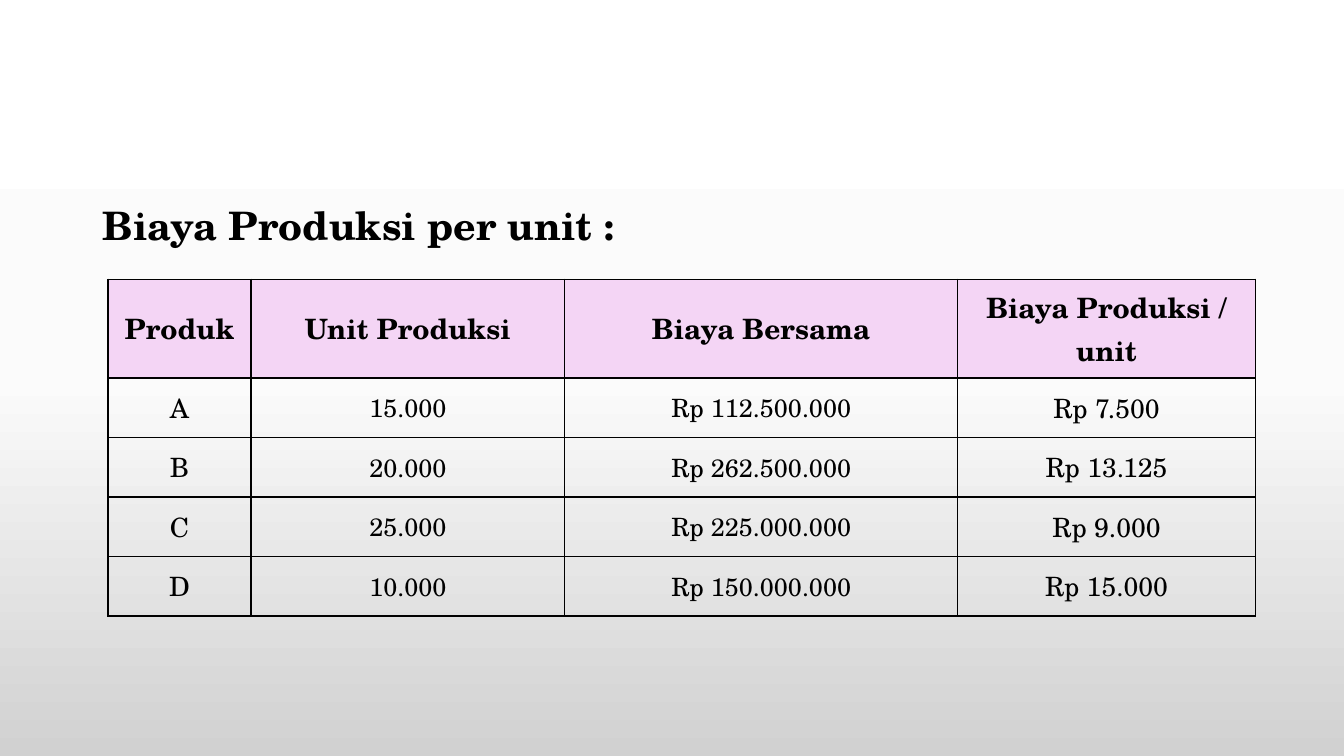
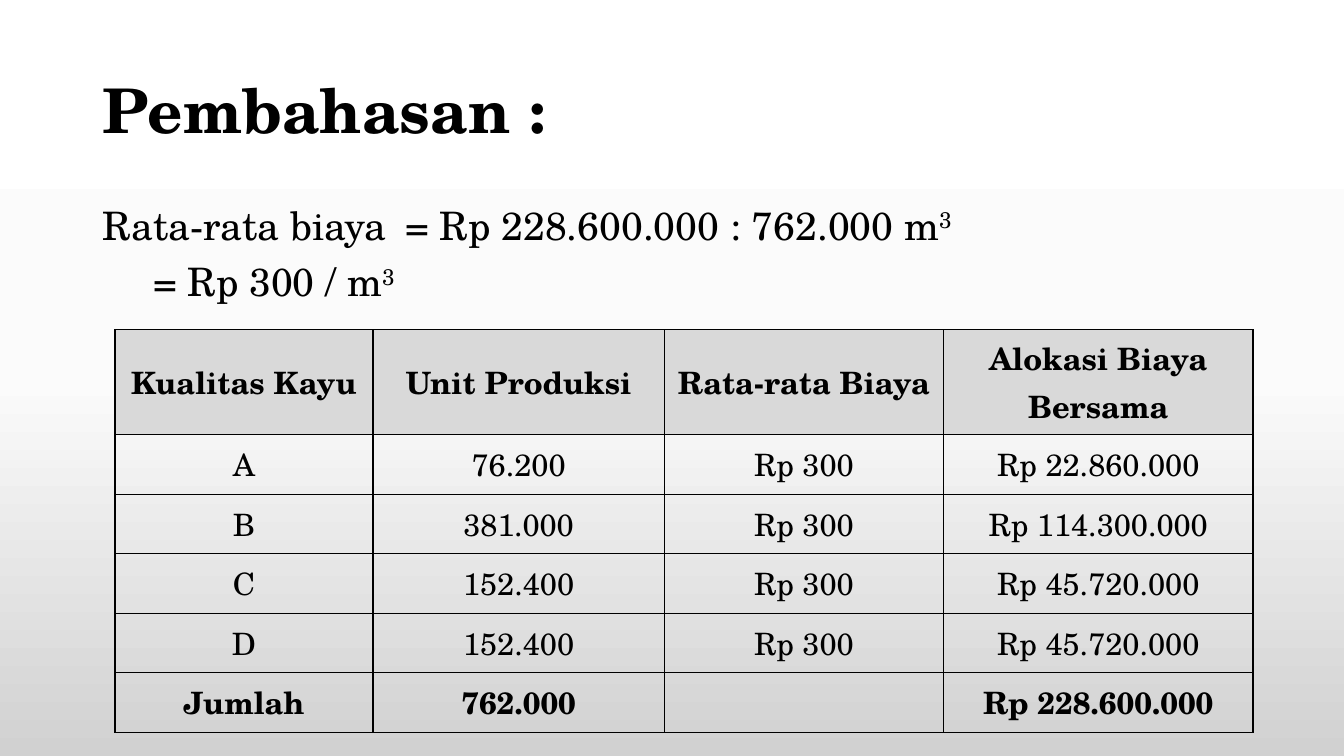
import copy

import pptx
import pptx.dml.color
import pptx.enum.text
import pptx.oxml
import pptx.oxml.ns
import pptx.util

RGBColor = pptx.dml.color.RGBColor
BLACK = RGBColor(0x00, 0x00, 0x00)
PINK = RGBColor(0xF4, 0xD5, 0xF5)
GRAY = RGBColor(0xD9, 0xD9, 0xD9)
BACKDROP = [
    (0, RGBColor(0xFF, 0xFF, 0xFF)),
    (0.5, RGBColor(0xFB, 0xFB, 0xFB)),
    (1, RGBColor(0xD1, 0xD1, 0xD1)),
]
FONT = "TeX Gyre Schola"
WIDTH = pptx.util.Inches(13.33)
HEIGHT = pptx.util.Inches(7.5)
TITLE_AREA = (6.9, 5.33, 86.27, 19.33)
BODY_AREA = (6.9, 26.67, 86.27, 63.47)
ROW_HEIGHT = 7.87
EQUALS_TAB = pptx.util.Inches(3)
BORDER = (
    '<a:{side} xmlns:a="http://schemas.openxmlformats.org/drawingml/2006/main" w="12700">'
    '<a:solidFill><a:srgbClr val="{color}"/></a:solidFill></a:{side}>'
)


def across(percent):
    return round(WIDTH * percent / 100)


def down(percent):
    return round(HEIGHT * percent / 100)


def place(shape, area):
    left, top, width, height = area
    shape.left, shape.top = across(left), down(top)
    shape.width, shape.height = across(width), down(height)


def format_font(paragraph, size, bold=False):
    font = paragraph.font
    font.name = FONT
    font.size = pptx.util.Pt(size)
    font.bold = bold
    font.color.rgb = BLACK


def paint_background(master):
    fill = master.background.fill
    fill.gradient()
    fill.gradient_angle = 270
    first_stop = next(master.background.fill._xPr.iter(pptx.oxml.ns.qn("a:gs")))
    first_stop.addnext(copy.deepcopy(first_stop))
    for stop, (position, color) in zip(fill.gradient_stops, BACKDROP):
        stop.position = position
        stop.color.rgb = color


def add_slide(presentation, title=None):
    slide = presentation.slides.add_slide(presentation.slide_layouts[1])
    shape = slide.shapes.title
    if title is None:
        shape.element.getparent().remove(shape.element)
        return slide
    place(shape, TITLE_AREA)
    shape.text_frame.vertical_anchor = pptx.enum.text.MSO_ANCHOR.MIDDLE
    paragraph = shape.text_frame.paragraphs[0]
    paragraph.text = title
    paragraph.alignment = pptx.enum.text.PP_ALIGN.LEFT
    paragraph.line_spacing = 0.9
    format_font(paragraph, 44, True)
    return slide


def remove_bullet(paragraph):
    properties = paragraph._p.get_or_add_pPr()
    properties.set("marL", "0")
    properties.set("indent", "0")
    pptx.oxml.ns.qn("a:buNone")
    properties.append(properties.makeelement(pptx.oxml.ns.qn("a:buNone")))
    tabs = properties.makeelement(pptx.oxml.ns.qn("a:tabLst"))
    tab = tabs.makeelement(pptx.oxml.ns.qn("a:tab"), {"pos": str(EQUALS_TAB), "algn": "l"})
    tabs.append(tab)
    properties.append(tabs)


def fill_body(slide, lines, bold=False):
    shape = slide.placeholders[1]
    place(shape, BODY_AREA)
    frame = shape.text_frame
    for index, (text, exponent) in enumerate(lines):
        paragraph = frame.add_paragraph() if index else frame.paragraphs[0]
        remove_bullet(paragraph)
        paragraph.line_spacing = 0.9
        paragraph.space_before = pptx.util.Pt(10 if index else 0)
        format_font(paragraph, 28, bold)
        paragraph.add_run().text = text
        if exponent:
            run = paragraph.add_run()
            run.text = exponent
            run._r.get_or_add_rPr().set("baseline", "30000")


def format_cell(cell, text, size, bold, color):
    cell.vertical_anchor = pptx.enum.text.MSO_ANCHOR.MIDDLE
    if color is None:
        cell.fill.background()
    else:
        cell.fill.solid()
        cell.fill.fore_color.rgb = color
    properties = cell._tc.get_or_add_tcPr()
    for index, side in enumerate(("lnL", "lnR", "lnT", "lnB")):
        properties.insert(index, pptx.oxml.parse_xml(BORDER.format(side=side, color=BLACK)))
    paragraph = cell.text_frame.paragraphs[0]
    paragraph.text = text
    paragraph.alignment = pptx.enum.text.PP_ALIGN.CENTER
    format_font(paragraph, size, bold)


def add_cost_table(slide, corner, columns, header_height, rows, header_size, sizes, color, bold_rows):
    left, top = corner
    heights = [header_height] + [ROW_HEIGHT] * (len(rows) - 1)
    table = slide.shapes.add_table(
        len(rows), len(columns), across(left), down(top), across(sum(columns)), down(sum(heights))
    ).table
    table.horz_banding = False
    for column, width in zip(table.columns, columns):
        column.width = across(width)
    for row, height in zip(table.rows, heights):
        row.height = down(height)
    for row_index, texts in enumerate(rows):
        header = row_index == 0
        for column_index, text in enumerate(texts):
            format_cell(
                table.cell(row_index, column_index),
                text,
                header_size if header else sizes[column_index],
                row_index in bold_rows,
                color if header else None,
            )


def build_unit_cost_slide(presentation):
    slide = add_slide(presentation)
    fill_body(slide, [("Biaya Produksi per unit :", None)], bold=True)
    rows = [
        ("Produk", "Unit Produksi", "Biaya Bersama", "Biaya Produksi / unit"),
        ("A", "15.000", "Rp 112.500.000", "Rp 7.500"),
        ("B", "20.000", "Rp 262.500.000", "Rp 13.125"),
        ("C", "25.000", "Rp 225.000.000", "Rp 9.000"),
        ("D", "10.000", "Rp 150.000.000", "Rp 15.000"),
    ]
    columns = (10.65, 23.33, 29.26, 22.13)
    add_cost_table(slide, (8.03, 36.93), columns, 13.07, rows, 20, (19, 18, 18, 19), PINK, {0})


def build_allocation_slide(presentation):
    slide = add_slide(presentation, "Pembahasan :")
    fill_body(
        slide,
        [("Rata-rata biaya\t= Rp 228.600.000 : 762.000 m", "3"), ("\t= Rp 300 / m", "3")],
    )
    rows = [
        ("Kualitas Kayu", "Unit Produksi", "Rata-rata Biaya", "Alokasi Biaya Bersama"),
        ("A", "76.200", "Rp 300", "Rp 22.860.000"),
        ("B", "381.000", "Rp 300", "Rp 114.300.000"),
        ("C", "152.400", "Rp 300", "Rp 45.720.000"),
        ("D", "152.400", "Rp 300", "Rp 45.720.000"),
        ("Jumlah", "762.000", "", "Rp 228.600.000"),
    ]
    columns = (19.2, 21.68, 20.78, 23.03)
    add_cost_table(slide, (8.55, 43.6), columns, 13.87, rows, 22, (22,) * 4, GRAY, {0, 5})


def main():
    presentation = pptx.Presentation()
    presentation.slide_width = WIDTH
    presentation.slide_height = HEIGHT
    paint_background(presentation.slide_master)
    build_unit_cost_slide(presentation)
    build_allocation_slide(presentation)
    presentation.save("out.pptx")


if __name__ == "__main__":
    main()
